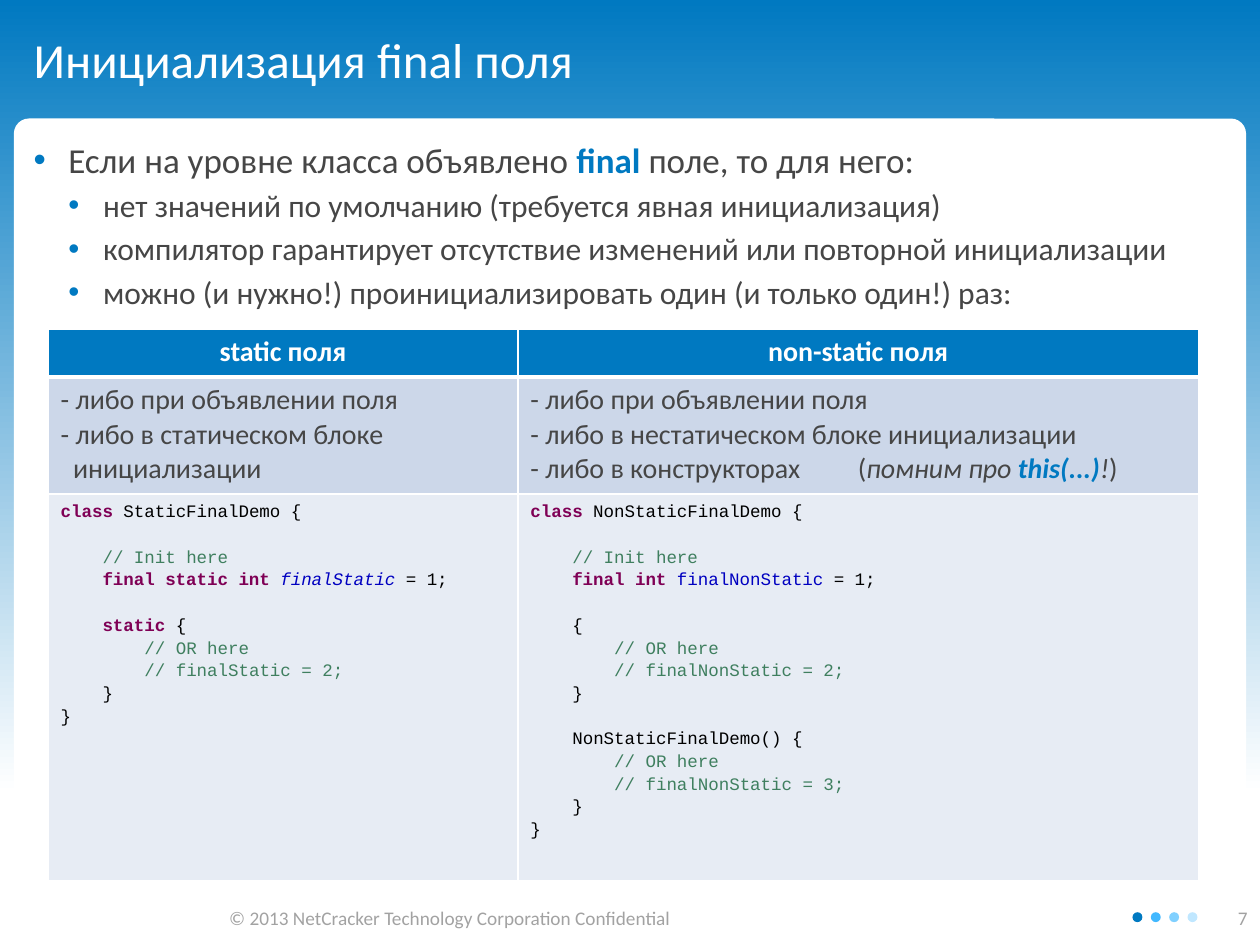
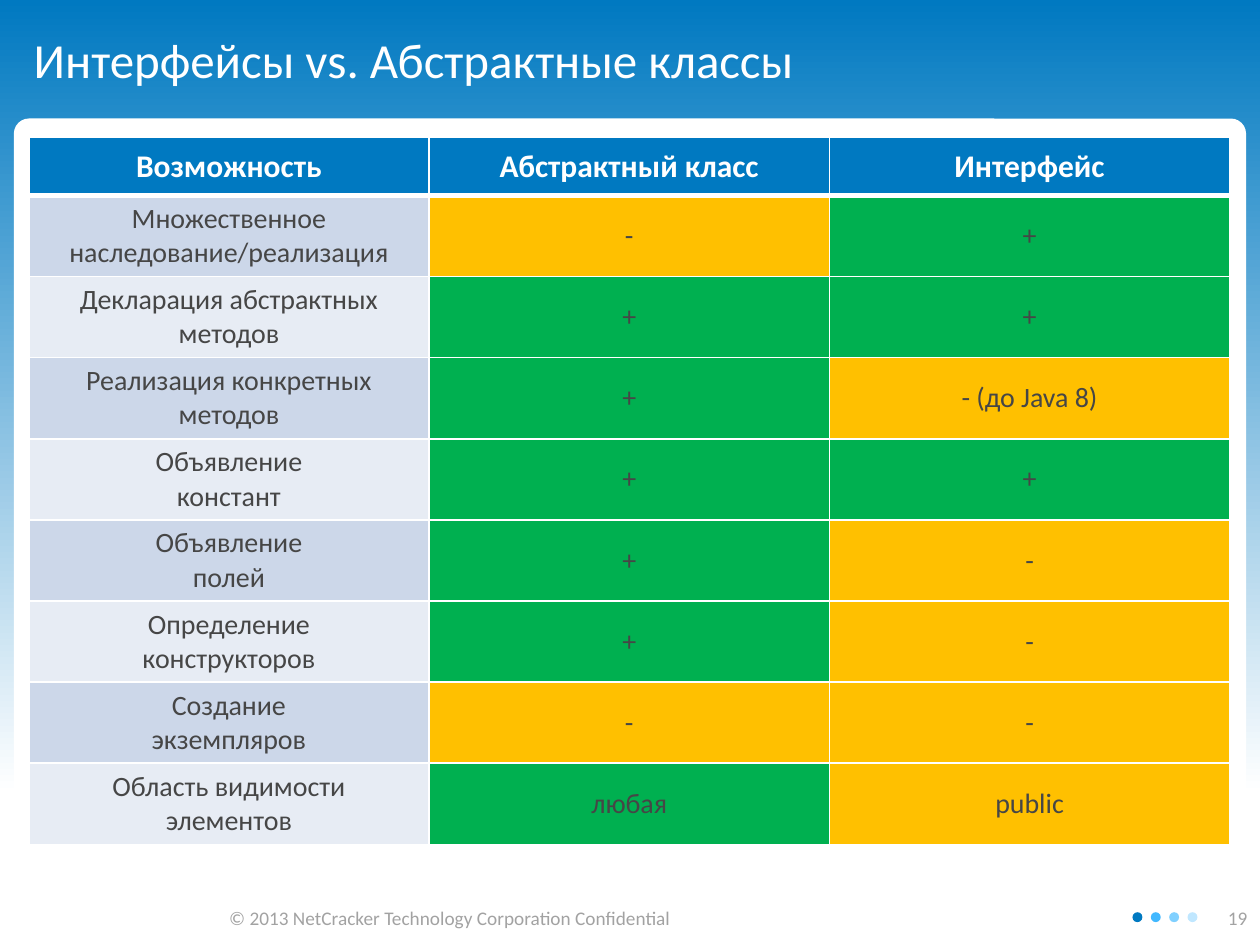
from itertools import groupby

from lxml import etree
from pptx import Presentation
from pptx import util as u
from pptx.dml import color as col
from pptx.enum import shapes, text
from pptx.oxml import ns

Cm, Pt = u.Cm, u.Pt
HEX = {
    "blue": "0079C1", "sky": "41B8FF", "pale": "80D0FF", "mist": "C0E7FF",
    "white": "FFFFFF", "ink": "464646", "grey": "A2A2A2", "black": "000000",
    "band": "CCD7E9", "light": "E7ECF4", "green": "00B050", "amber": "FFC000",
    "plum": "7F0055", "moss": "3F7F5F", "navy": "0000C0",
}
LOOK = {
    "text": {"color": "ink"},
    "title": {"color": "white"},
    "head": {"color": "white", "bold": True},
    "foot": {"color": "grey"},
    "key": {"color": "blue", "bold": True},
    "aside": {"color": "ink", "italic": True},
    "call": {"color": "blue", "bold": True, "italic": True},
    "code": {"color": "black"},
    "word": {"color": "plum", "bold": True},
    "note": {"color": "moss"},
    "field": {"color": "navy"},
    "static": {"color": "navy", "italic": True},
}
WORDS = {"class", "final", "static", "int"}
FIELDS = {"finalStatic": "static", "finalNonStatic": "field"}
MID = {"alignment": text.PP_ALIGN.CENTER}
CODE_LINE = 13

STATIC = """class StaticFinalDemo {

    // Init here
    final static int finalStatic = 1;

    static {
        // OR here
        // finalStatic = 2;
    }
}"""
OBJECT = """class NonStaticFinalDemo {

    // Init here
    final int finalNonStatic = 1;

    {
        // OR here
        // finalNonStatic = 2;
    }

    NonStaticFinalDemo() {
        // OR here
        // finalNonStatic = 3;
    }
}"""
TRAITS = [
    ("Множественное наследование/реализация", "-", "+"),
    ("Декларация абстрактных методов", "+", "+"),
    ("Реализация конкретных методов", "+", "- (до Java 8)"),
    ("Объявление\nконстант", "+", "+"),
    ("Объявление\nполей", "+", "-"),
    ("Определение\nконструкторов", "+", "-"),
    ("Создание\nэкземпляров", "-", "-"),
    ("Область видимости\nэлементов", "любая", "public"),
]


def rgb(name):
    return col.RGBColor.from_string(HEX[name])


def sub(node, tag, **attrs):
    return etree.SubElement(node, ns.qn(tag), attrs)


def box(*sides):
    return [Cm(side) for side in sides]


def split_code(line):
    if line.lstrip().startswith("//"):
        return [(line, "note")]
    parts = line.split(" ")
    pairs = [(part + " " * (n < len(parts) - 1),
              "word" if part in WORDS else FIELDS.get(part, "code"))
             for n, part in enumerate(parts)]
    return [("".join(p[0] for p in group), look)
            for look, group in groupby(pairs, key=lambda p: p[1])]


class Deck:
    font = "Calibri"
    mono = "Courier New"

    def __init__(self):
        self.prs = Presentation()
        self.prs.slide_width, self.prs.slide_height = box(25.4, 19.05)
        self.slide = None

    def start(self, title, page):
        self.slide = self.prs.slides.add_slide(self.prs.slide_layouts[5])
        self.back()
        self.shape(shapes.MSO_SHAPE.ROUNDED_RECTANGLE,
                   (0.28, 2.39, 24.84, 15.29), "white", 0.02)
        for n, name in enumerate(("blue", "sky", "pale", "mist")):
            self.shape(shapes.MSO_SHAPE.OVAL,
                       (22.83 + 0.37 * n, 18.39, 0.2, 0.2), name)
        self.label((4.37, 18.14, 10.57, 0.74),
                   "© 2013 NetCracker Technology Corporation Confidential")
        self.label((23.01, 18.14, 2.39, 0.74), str(page),
                   alignment=text.PP_ALIGN.RIGHT)
        head = self.slide.shapes.title
        head.left, head.top, head.width, head.height = box(0.28, 0, 24.84, 2.39)
        self.frame(head.text_frame, (0.4, 0.13, 0.25, 0.13),
                   vertical_anchor=text.MSO_ANCHOR.MIDDLE)
        self.para(head.text_frame, [(title, "title")], 28,
                  alignment=text.PP_ALIGN.LEFT)

    def back(self):
        fill = self.slide.background.fill
        fill.gradient()
        fill.gradient_angle = 90
        for stop, spot, name in zip(fill.gradient_stops, (0.16, 1), ("white", "blue")):
            stop.position = spot
            stop.color.rgb = rgb(name)

    def shape(self, kind, at, name, bend=None):
        item = self.slide.shapes.add_shape(kind, *box(*at))
        item.shadow.inherit = False
        item.fill.solid()
        item.fill.fore_color.rgb = rgb(name)
        item.line.fill.background()
        if bend is not None:
            item.adjustments[0] = bend

    def frame(self, frame, pads, **form):
        sides = ("left", "top", "right", "bottom")
        form.update({f"margin_{s}": Cm(p) for s, p in zip(sides, pads)})
        form.update(word_wrap=True, auto_size=text.MSO_AUTO_SIZE.NONE)
        for key, val in form.items():
            setattr(frame, key, val)

    def area(self, at, pads):
        frame = self.slide.shapes.add_textbox(*box(*at)).text_frame
        self.frame(frame, pads)
        return frame

    def label(self, at, words, **form):
        frame = self.area(at, (0.25, 0.13, 0.25, 0.13))
        self.para(frame, [(words, "foot")], 11, **form)

    def para(self, frame, runs, size, font=None, left=0, hang=0,
             dot=False, tab=None, **form):
        first = frame.paragraphs[0]
        par = frame.add_paragraph() if first.runs else first
        props = par._p.get_or_add_pPr()
        if left:
            props.set("marL", str(Cm(left)))
            props.set("indent", str(-Cm(hang)))
        if dot:
            sub(sub(props, "a:buClr"), "a:srgbClr", val=HEX["blue"])
            sub(props, "a:buFont", typeface="Arial")
            sub(props, "a:buChar", char="•")
        if tab:
            sub(sub(props, "a:tabLst"), "a:tab", pos=str(Cm(tab)), algn="l")
        for key, val in form.items():
            setattr(par, key, val)
        for words, look in runs:
            run = par.add_run()
            run.text = words
            style = {"name": font or self.font, "size": Pt(size),
                     "bold": False, "italic": False, **LOOK[look]}
            run.font.color.rgb = rgb(style.pop("color"))
            for key, val in style.items():
                setattr(run.font, key, val)

    def code(self, frame, source):
        gap = 0
        for line in source.split("\n"):
            if not line:
                gap = CODE_LINE
                continue
            self.para(frame, split_code(line), 10, self.mono,
                      line_spacing=1.15, space_before=Pt(gap))
            gap = 0

    def table(self, spot, cols, rows):
        shape = self.slide.shapes.add_table(
            len(rows), len(cols), *box(*spot, sum(cols), sum(rows)))
        grid = shape.table
        grid.first_row = grid.horz_banding = False
        for item, wide in zip(grid.columns, cols):
            item.width = Cm(wide)
        for item, high in zip(grid.rows, rows):
            item.height = Cm(high)
        for r, row in enumerate(grid.rows):
            for cell in row.cells:
                self.edges(cell, 3 if r == 1 else 1, 1 if r else 3)
                self.paint(cell, ("band" if r % 2 else "light") if r else "blue")
        return grid

    def edges(self, cell, top, low):
        props = cell._tc.get_or_add_tcPr()
        for side, size in zip("LRTB", (1, 1, top, low)):
            line = sub(props, f"a:ln{side}", w=str(Pt(size)))
            sub(sub(line, "a:solidFill"), "a:srgbClr", val=HEX["white"])

    def paint(self, cell, name):
        cell.fill.solid()
        cell.fill.fore_color.rgb = rgb(name)

    def heads(self, grid, names, size):
        for cell, name in zip(grid.rows[0].cells, names):
            self.para(cell.text_frame, [(name, "head")], size, **MID)


def final_slide(deck):
    deck.start("Инициализация final поля", 7)
    body = deck.area((0.28, 2.39, 24.82, 4.2), (0.4, 0.4, 0.4, 0.13))
    deck.para(body, [("Если на уровне класса объявлено ", "text"),
                     ("final ", "key"), ("поле, то для него:", "text")],
              20, left=0.7, hang=0.7, dot=True)
    for point in (
            "нет значений по умолчанию (требуется явная инициализация)",
            "компилятор гарантирует отсутствие изменений или повторной инициализации",
            "можно (и нужно!) проинициализировать один (и только один!) раз:"):
        deck.para(body, [(point, "text")], 18, left=1.4, hang=0.7, dot=True,
                  space_before=Pt(3.2))
    grid = deck.table((0.97, 6.63), (9.47, 13.72), (0.97, 2.36, 7.8))
    deck.heads(grid, ("static поля", "non-static поля"), 16)
    ways = (
        [[("- либо при объявлении поля", "text")],
         [("- либо в статическом блоке инициализации", "text")]],
        [[("- либо при объявлении поля", "text")],
         [("- либо в нестатическом блоке инициализации", "text")],
         [("- либо в конструкторах\t(", "text"), ("помним про ", "aside"),
          ("this(...)", "call"), ("!", "aside"), (")", "text")]],
    )
    for n, (paras, source) in enumerate(zip(ways, (STATIC, OBJECT))):
        for runs in paras:
            tab = 6.35 if len(runs) > 1 else None
            deck.para(grid.cell(1, n).text_frame, runs, 16,
                      left=0.25, hang=0.25, tab=tab)
        deck.code(grid.cell(2, n).text_frame, source)


def compare_slide(deck):
    deck.start("Интерфейсы vs. Абстрактные классы", 19)
    grid = deck.table((0.58, 2.77), [8.07] * 3, [1.17] + [1.63] * len(TRAITS))
    deck.heads(grid, ("Возможность", "Абстрактный класс", "Интерфейс"), 18)
    for r, trait in enumerate(TRAITS, 1):
        for c, words in enumerate(trait):
            cell = grid.cell(r, c)
            for line in words.split("\n"):
                deck.para(cell.text_frame, [(line, "text")], 16, **MID)
            if c:
                deck.paint(cell, "green" if words in ("+", "любая") else "amber")
    for cell in grid.iter_cells():
        cell.vertical_anchor = text.MSO_ANCHOR.MIDDLE


def main():
    deck = Deck()
    final_slide(deck)
    compare_slide(deck)
    deck.prs.save("out.pptx")


if __name__ == "__main__":
    main()
